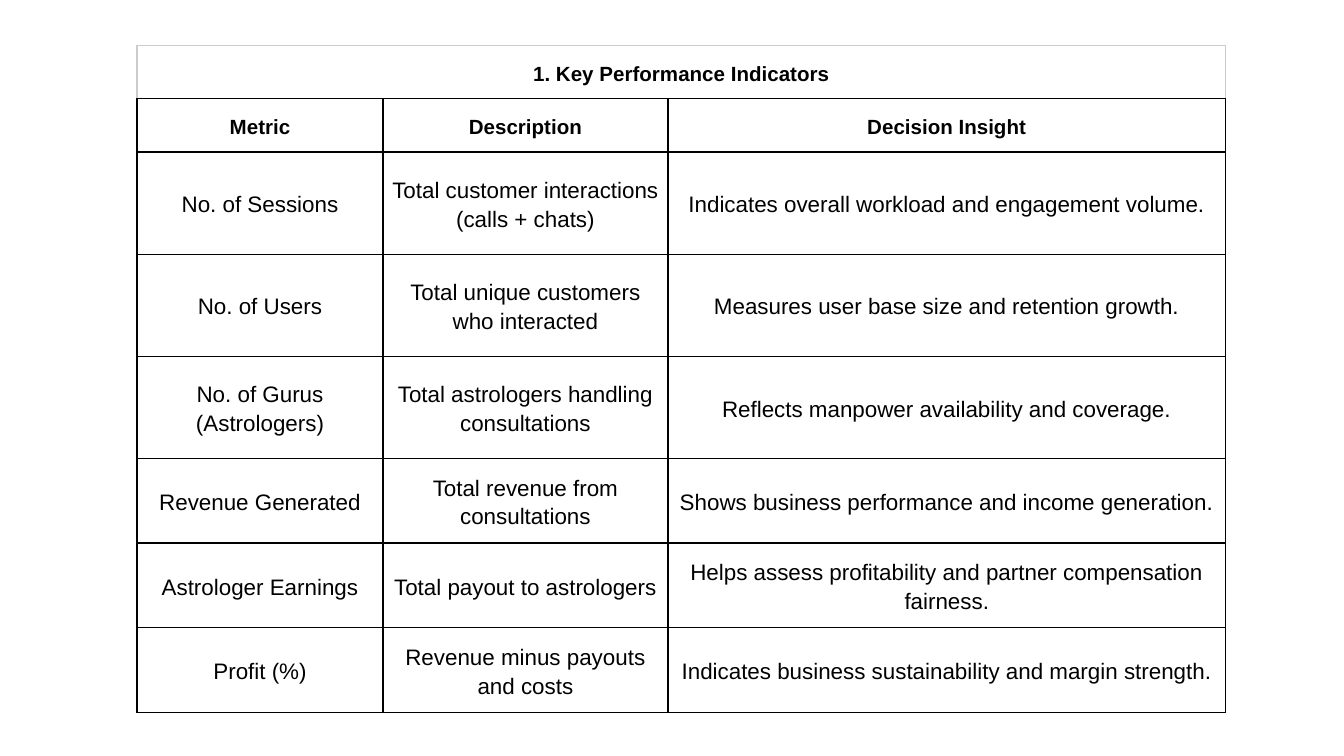
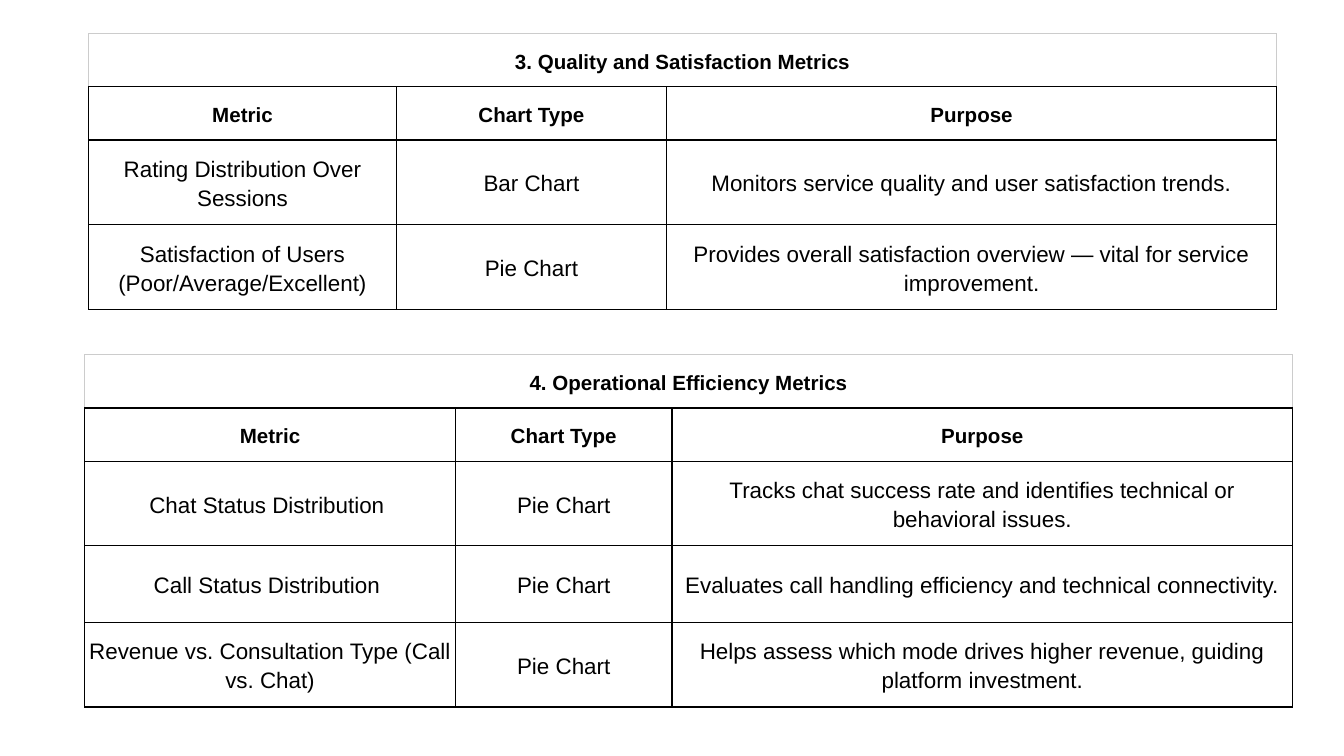
"""Build two slides of bordered metric tables."""

from dataclasses import dataclass

import lxml.etree
import pptx
import pptx.dml.color
import pptx.enum.text
import pptx.oxml.ns
import pptx.slide
import pptx.table
import pptx.util
from pptx.util import Inches

BLACK = pptx.dml.color.RGBColor(0x00, 0x00, 0x00)
LIGHT_GREY = pptx.dml.color.RGBColor(0xCC, 0xCC, 0xCC)
FONT_NAME = "Arial"
HEADING_SIZE = pptx.util.Pt(11)
BODY_SIZE = pptx.util.Pt(12)
BORDER_WIDTH = pptx.util.Pt(0.75)
SIDE_MARGIN = Inches(0.03)
VERTICAL_MARGIN = Inches(0.1)
SLIDE_WIDTH = Inches(10)
SLIDE_HEIGHT = SLIDE_WIDTH * 9 // 16
BLANK_LAYOUT = 6
HEADING_ROWS = 2


@dataclass(frozen=True)
class MetricTable:
    """A titled table of metrics, measured in inches."""

    title: str
    left: float
    top: float
    column_widths: tuple[float, ...]
    row_heights: tuple[float, ...]
    rows: tuple[tuple[str, ...], ...]


KEY_INDICATORS = MetricTable(
    "1. Key Performance Indicators", 1.02, 0.34,
    (1.83, 2.12, 4.15),
    (0.37,) * 2 + (0.76,) * 3 + (0.59,) * 3,
    (
        ("Metric", "Description", "Decision Insight"),
        ("No. of Sessions", "Total customer interactions (calls + chats)",
         "Indicates overall workload and engagement volume."),
        ("No. of Users", "Total unique customers who interacted",
         "Measures user base size and retention growth."),
        ("No. of Gurus (Astrologers)", "Total astrologers handling consultations",
         "Reflects manpower availability and coverage."),
        ("Revenue Generated", "Total revenue from consultations",
         "Shows business performance and income generation."),
        ("Astrologer Earnings", "Total payout to astrologers",
         "Helps assess profitability and partner compensation fairness."),
        ("Profit (%)", "Revenue minus payouts and costs",
         "Indicates business sustainability and margin strength."),
    ),
)

QUALITY_METRICS = MetricTable(
    "3. Quality and Satisfaction Metrics", 0.66, 0.25,
    (2.29, 2.01, 4.54),
    (0.21, 0.21, 0.39, 0.39),
    (
        ("Metric", "Chart Type", "Purpose"),
        ("Rating Distribution Over Sessions", "Bar Chart",
         "Monitors service quality and user satisfaction trends."),
        ("Satisfaction of Users (Poor/Average/Excellent)", "Pie Chart",
         "Provides overall satisfaction overview — vital for service improvement."),
    ),
)

EFFICIENCY_METRICS = MetricTable(
    "4. Operational Efficiency Metrics", 0.63, 2.64,
    (2.76, 1.61, 4.62),
    (0.21, 0.21, 0.57, 0.57, 0.39),
    (
        ("Metric", "Chart Type", "Purpose"),
        ("Chat Status Distribution ", "Pie Chart",
         "Tracks chat success rate and identifies technical or behavioral issues."),
        ("Call Status Distribution ", "Pie Chart",
         "Evaluates call handling efficiency and technical connectivity."),
        ("Revenue vs. Consultation Type (Call vs. Chat)", "Pie Chart",
         "Helps assess which mode drives higher revenue, guiding platform investment."),
    ),
)

SLIDES = ((KEY_INDICATORS,), (QUALITY_METRICS, EFFICIENCY_METRICS))


def format_borders(cell: pptx.table._Cell, is_title: bool) -> None:
    """Draw the four cell borders, grey around the title except below it."""
    qualified = pptx.oxml.ns.qn
    properties = cell._tc.get_or_add_tcPr()
    for side in ("L", "R", "T", "B"):
        color = LIGHT_GREY if is_title and side != "B" else BLACK
        line = lxml.etree.SubElement(
            properties, qualified(f"a:ln{side}"), w=str(int(BORDER_WIDTH))
        )
        fill = lxml.etree.SubElement(line, qualified("a:solidFill"))
        lxml.etree.SubElement(fill, qualified("a:srgbClr"), val=str(color))


def format_cell(cell: pptx.table._Cell, row_index: int) -> None:
    """Apply the shared borders, margins and alignment to a cell."""
    is_title = row_index == 0
    format_borders(cell, is_title)
    cell.fill.background()
    cell.margin_left = cell.margin_right = SIDE_MARGIN
    cell.margin_top = cell.margin_bottom = VERTICAL_MARGIN
    anchors = pptx.enum.text.MSO_ANCHOR
    cell.vertical_anchor = anchors.BOTTOM if is_title else anchors.MIDDLE


def write_cell(cell: pptx.table._Cell, text: str, is_heading: bool) -> None:
    """Write centred text in the heading or body style."""
    cell.text_frame.text = text
    paragraph = cell.text_frame.paragraphs[0]
    paragraph.alignment = pptx.enum.text.PP_ALIGN.CENTER
    paragraph.line_spacing = 1.15
    font = paragraph.runs[0].font
    font.name = FONT_NAME
    font.size = HEADING_SIZE if is_heading else BODY_SIZE
    font.bold = is_heading
    font.color.rgb = BLACK


def draw_table(slide: pptx.slide.Slide, metrics: MetricTable) -> None:
    """Add one metric table with a merged title row."""
    table = slide.shapes.add_table(
        len(metrics.row_heights), len(metrics.column_widths),
        Inches(metrics.left), Inches(metrics.top),
        Inches(sum(metrics.column_widths)), Inches(sum(metrics.row_heights)),
    ).table
    table.first_row = False
    table.horz_banding = False
    for column, width in zip(table.columns, metrics.column_widths):
        column.width = Inches(width)
    for row_index, height in enumerate(metrics.row_heights):
        row = table.rows[row_index]
        row.height = Inches(height)
        for cell in row.cells:
            format_cell(cell, row_index)
    title_cell = table.cell(0, 0)
    title_cell.merge(table.cell(0, len(metrics.column_widths) - 1))
    write_cell(title_cell, metrics.title, True)
    for row_index, texts in enumerate(metrics.rows, start=1):
        for column_index, text in enumerate(texts):
            write_cell(
                table.cell(row_index, column_index), text, row_index < HEADING_ROWS
            )


def main() -> None:
    """Build and save the presentation."""
    presentation = pptx.Presentation()
    presentation.slide_width = SLIDE_WIDTH
    presentation.slide_height = SLIDE_HEIGHT
    for tables in SLIDES:
        slide = presentation.slides.add_slide(presentation.slide_layouts[BLANK_LAYOUT])
        for metrics in tables:
            draw_table(slide, metrics)
    presentation.save("out.pptx")


if __name__ == "__main__":
    main()
